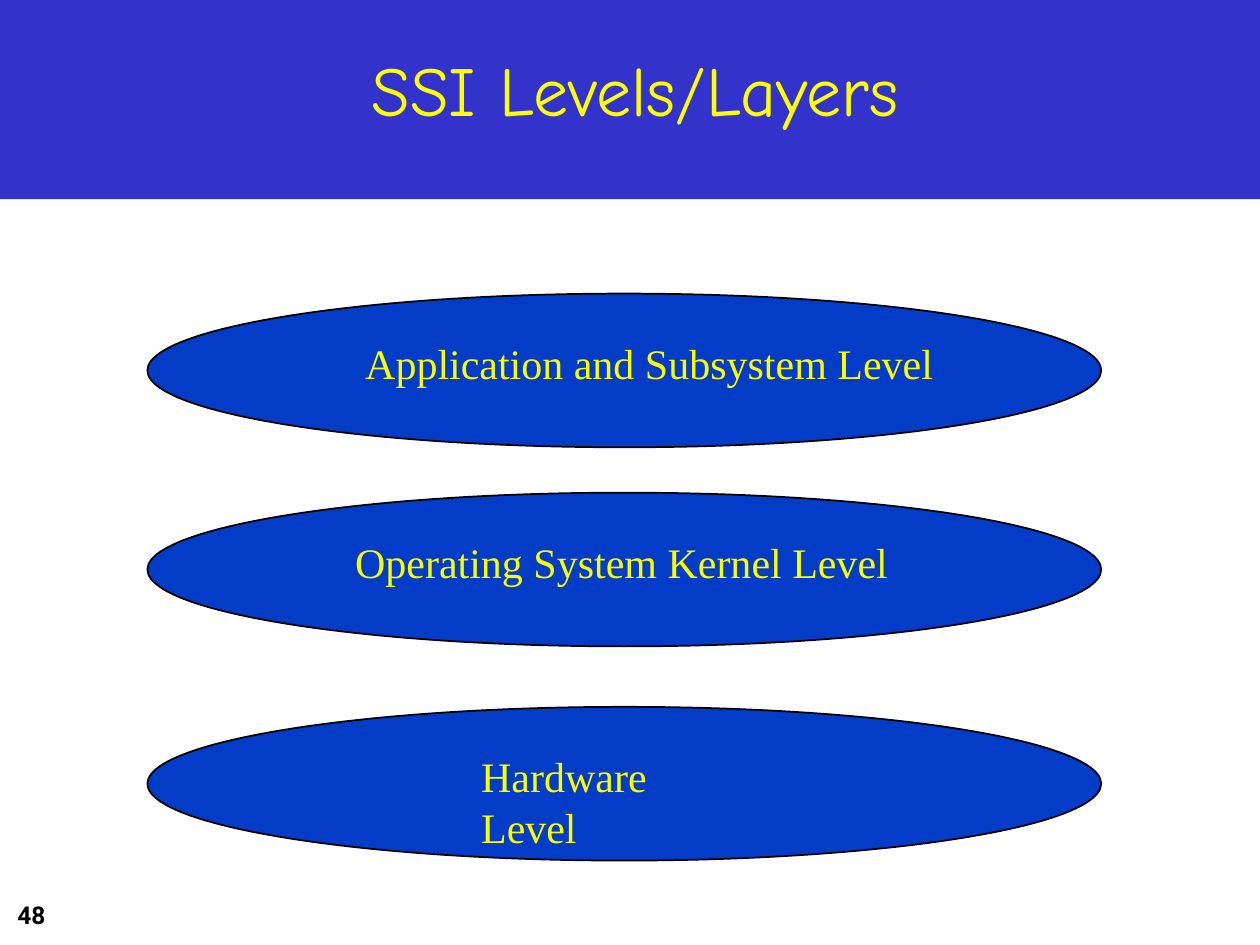
from dataclasses import dataclass
from pptx import Presentation
from pptx.dml.color import RGBColor as Rgb
from pptx.enum.shapes import MSO_SHAPE as Shape
from pptx.enum.text import MSO_ANCHOR as Anchor, PP_ALIGN as Align
from pptx.util import Inches, Pt

TITLE = "SSI Levels/Layers"
NUMBER = "48"
LEVELS = [
    ("Application and Subsystem Level", 2.33, 2.8, 4.71),
    ("Operating System Kernel Level", 3.91, 2.72, 4.43),
    ("Hardware Level", 5.61, 3.72, 2.35),
]
WIDE, HIGH = 10, 7.5
LEFT, OVAL_W, OVAL_H = 1.17, 7.57, 1.22
DROP, TEXT_H = 0.3, 0.5


@dataclass(frozen=True)
class Theme:
    band: str = "3333CC"
    oval: str = "023CC7"
    line: str = "000000"
    head: tuple = ("Comic Neue", 40, "FFFF00", False)
    label: tuple = ("Times New Roman", 24, "FAFD00", False)
    page: tuple = ("Roboto", 14, "000000", True)


theme = Theme()


def box(*sizes):
    return [Inches(size) for size in sizes]


def write(frame, text, style, align):
    frame.text = text
    para = frame.paragraphs[0]
    para.alignment = align
    font = para.runs[0].font
    font.name, size, color, font.bold = style
    font.size = Pt(size)
    font.color.rgb = Rgb.from_string(color)


def draw(shapes, kind, place, fill, line=None):
    shape = shapes.add_shape(kind, *box(*place))
    shape.shadow.inherit = False
    shape.fill.solid()
    shape.fill.fore_color.rgb = Rgb.from_string(fill)
    if line:
        shape.line.color.rgb = Rgb.from_string(line)
        shape.line.width = Pt(1)
    else:
        shape.line.fill.background()
    return shape


def label(shapes, text, place, style, align):
    frame = shapes.add_textbox(*box(*place)).text_frame
    frame.word_wrap = False
    write(frame, text, style, align)


def main():
    deck = Presentation()
    deck.slide_width, deck.slide_height = box(WIDE, HIGH)
    slide = deck.slides.add_slide(deck.slide_layouts[5])
    shapes = slide.shapes

    title = shapes.title
    band = draw(shapes, Shape.RECTANGLE, (0, 0, WIDE, 1.58), theme.band)
    title._element.addprevious(band._element)
    title.left, title.top, title.width, title.height = box(0.25, 0.37, 9.58, 0.67)
    frame = title.text_frame
    frame.margin_left = frame.margin_right = 0
    frame.margin_top = frame.margin_bottom = 0
    frame.vertical_anchor = Anchor.MIDDLE
    write(frame, TITLE, theme.head, Align.CENTER)

    label(shapes, NUMBER, (-0.35, 7.09, 1.2, 0.37), theme.page, Align.CENTER)

    for text, top, left, width in LEVELS:
        group = shapes.add_group_shape().shapes
        draw(group, Shape.OVAL, (LEFT, top, OVAL_W, OVAL_H), theme.oval, theme.line)
        label(group, text, (left, top + DROP, width, TEXT_H), theme.label, Align.LEFT)

    deck.save("out.pptx")


if __name__ == "__main__":
    main()
